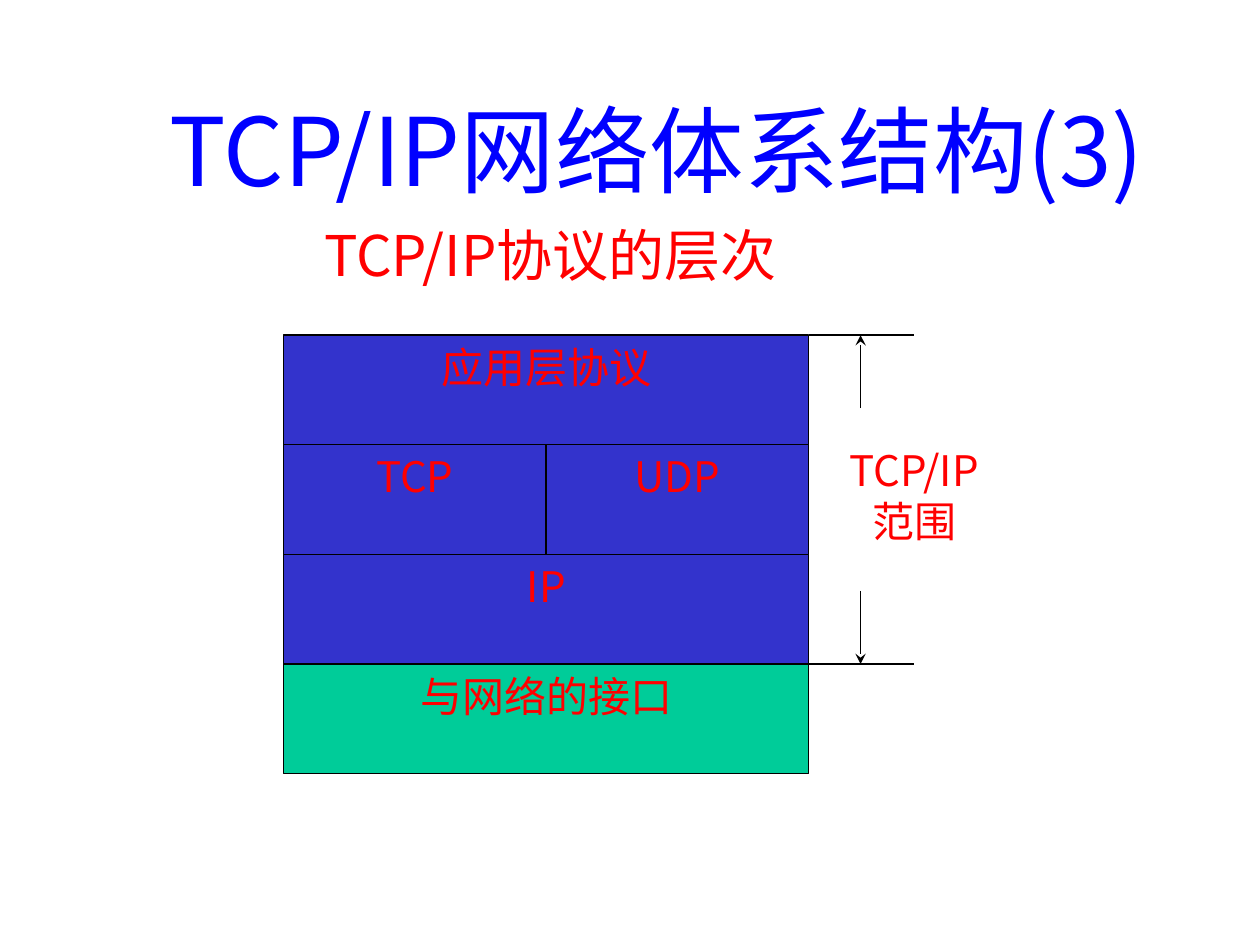
from pptx import Presentation
from pptx.dml.color import RGBColor
from pptx.enum.shapes import MSO_CONNECTOR, MSO_SHAPE
from pptx.enum.text import MSO_ANCHOR, PP_ALIGN
from pptx.oxml.ns import qn
from pptx.util import Inches, Pt
from lxml.etree import SubElement

COLORS = {
    "title": "0000FF",
    "label": "FF0000",
    "protocol": "3333CC",
    "interface": "00CC99",
    "line": "000000",
}


class SlideBuilder:
    font = "Noto Sans CJK JP"
    line_width = Pt(0.75)

    def __init__(self, slide):
        self.slide = slide

    def color(self, name):
        return RGBColor.from_string(COLORS[name])

    def fill_text(self, frame, lines, size, color, align):
        frame.word_wrap = True
        frame.vertical_anchor = MSO_ANCHOR.TOP
        for index, line in enumerate(lines):
            para = frame.add_paragraph() if index else frame.paragraphs[0]
            para.alignment = align
            span = para.add_run()
            span.text = line
            span.font.name = self.font
            span.font.size = Pt(size)
            span.font.color.rgb = self.color(color)
            # East Asian glyphs need their own font entry
            SubElement(span.font._element, qn("a:ea"), typeface=self.font)

    def layer(self, left, top, width, height, text, fill):
        box = self.slide.shapes.add_shape(
            MSO_SHAPE.RECTANGLE, Inches(left), Inches(top), Inches(width), Inches(height))
        box.shadow.inherit = False
        box.fill.solid()
        box.fill.fore_color.rgb = self.color(fill)
        box.line.color.rgb = self.color("line")
        box.line.width = self.line_width
        self.fill_text(box.text_frame, [text], 24, "label", PP_ALIGN.CENTER)

    def text(self, left, top, width, height, lines, size,
             color="label", align=PP_ALIGN.CENTER, insets=(0, 0, 0, 0)):
        box = self.slide.shapes.add_textbox(
            Inches(left), Inches(top), Inches(width), Inches(height))
        frame = box.text_frame
        (frame.margin_left, frame.margin_top,
         frame.margin_right, frame.margin_bottom) = map(Inches, insets)
        self.fill_text(frame, lines, size, color, align)

    def line(self, start, end, arrow=False):
        connector = self.slide.shapes.add_connector(
            MSO_CONNECTOR.STRAIGHT, *map(Inches, start + end))
        connector.line.color.rgb = self.color("line")
        connector.line.width = self.line_width
        properties = connector._element.spPr
        if arrow:
            SubElement(properties.find(qn("a:ln")), qn("a:tailEnd"), type="stealth")
        SubElement(properties, qn("a:effectLst"))


def main():
    deck = Presentation()
    deck.slide_width, deck.slide_height = Inches(10), Inches(7.5)
    page = SlideBuilder(deck.slides.add_slide(deck.slide_layouts[6]))

    # Protocol stack, one row per layer
    left, top, width, height = 2.25, 2.66, 4.17, 0.87
    rows = [
        (["应用层协议"], "protocol"),
        (["TCP", "UDP"], "protocol"),
        (["IP"], "protocol"),
        (["与网络的接口"], "interface"),
    ]
    for row, (names, fill) in enumerate(rows):
        cell = width / len(names)
        for column, name in enumerate(names):
            page.layer(left + column * cell, top + row * height, cell, height, name, fill)

    # Bracket around the three upper layers
    right, bracket_end, arrow_x = left + width, 7.25, 6.83
    bottom = top + 3 * height
    for edge, arrow_start in ((top, 3.24), (bottom, 4.69)):
        page.line((right, edge), (bracket_end, edge))
        page.line((arrow_x, arrow_start), (arrow_x, edge), arrow=True)
    page.text(right, top + height, 1.67, 1.15, ["TCP/IP", "范围"], 24)

    # Subtitle and title; the wider right inset keeps "(3)" on the second line
    page.text(2.16, 1.75, 4.42, 0.66, ["TCP/IP协议的层次"], 32)
    page.text(1.25, 0.68, 8.16, 1.9, ["TCP/IP网络体系结构(3)"], 54, "title",
              PP_ALIGN.LEFT, (0.1, 0.05, 0.3, 0.05))

    deck.save("out.pptx")


if __name__ == "__main__":
    main()
